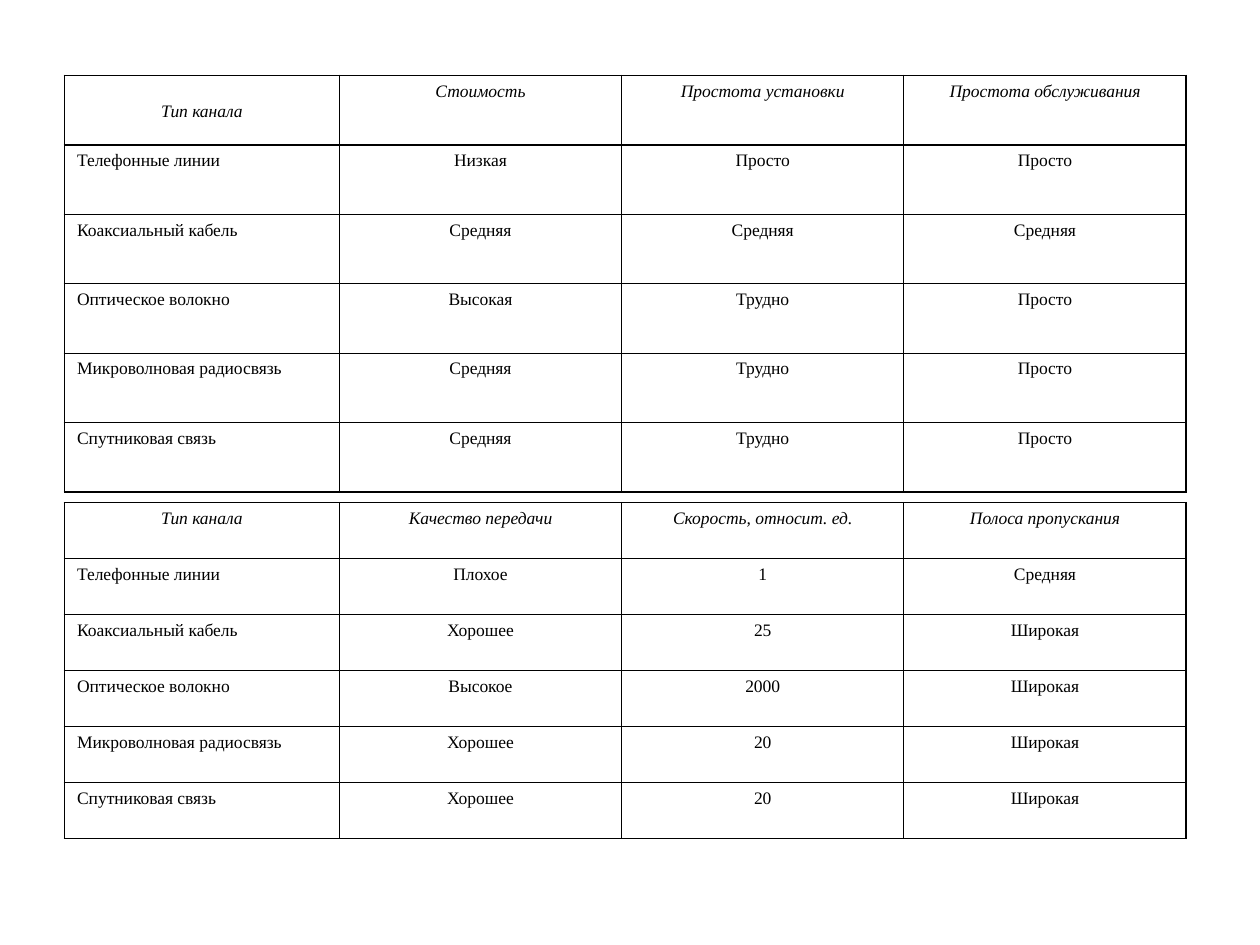
"""Build a slide with two tables comparing communication channels."""
import dataclasses

import pptx
import pptx.dml.color
import pptx.enum.text
import pptx.oxml
import pptx.oxml.ns
import pptx.util

Cm = pptx.util.Cm
Pt = pptx.util.Pt
ALIGN = pptx.enum.text.PP_ALIGN


@dataclasses.dataclass(frozen=True)
class Theme:
    """Colours, type and line widths of the slide."""
    ink: str = "000000"
    font: str = "Times New Roman"
    size: float = 10
    thick: float = 0.96
    thin: float = 0.45


THEME = Theme()
LEFT = 1.3
COLUMN_WIDTHS = (5.54, 5.69, 5.69, 5.69)
CHANNELS = (
    "Телефонные линии",
    "Коаксиальный кабель",
    "Оптическое волокно",
    "Микроволновая радиосвязь",
    "Спутниковая связь",
)
COST_HEADER = ("Тип канала", "Стоимость", "Простота установки", "Простота обслуживания")
COST_VALUES = (
    ("Низкая", "Просто", "Просто"),
    ("Средняя", "Средняя", "Средняя"),
    ("Высокая", "Трудно", "Просто"),
    ("Средняя", "Трудно", "Просто"),
    ("Средняя", "Трудно", "Просто"),
)
QUALITY_HEADER = ("Тип канала", "Качество передачи", "Скорость, относит. ед.", "Полоса пропускания")
QUALITY_VALUES = (
    ("Плохое", "1", "Средняя"),
    ("Хорошее", "25", "Широкая"),
    ("Высокое", "2000", "Широкая"),
    ("Хорошее", "20", "Широкая"),
    ("Хорошее", "20", "Широкая"),
)


def set_borders(cell, widths):
    """Draw the left, right, top and bottom borders of a cell."""
    properties = cell._tc.get_or_add_tcPr()
    for index, (side, width) in enumerate(zip("LRTB", widths)):
        line = pptx.oxml.parse_xml(
            f'<a:ln{side} {pptx.oxml.ns.nsdecls("a")} w="{int(Pt(width))}">'
            f'<a:solidFill><a:srgbClr val="{THEME.ink}"/></a:solidFill></a:ln{side}>'
        )
        properties.insert(index, line)


def border_widths(row, column, last_row, last_column):
    """Return thick widths for the frame and header edges, thin ones elsewhere."""
    edges = (
        column <= 1,
        column in (0, last_column),
        row <= 1,
        row in (0, last_row),
    )
    return [THEME.thick if edge else THEME.thin for edge in edges]


def fill_cell(cell, text, alignment, italic):
    """Write and format the text of a cell."""
    cell.fill.background()
    cell.text_frame.text = text
    paragraph = cell.text_frame.paragraphs[0]
    paragraph.alignment = alignment
    font = paragraph.runs[0].font
    font.name = THEME.font
    font.size = Pt(THEME.size)
    font.italic = italic
    font.color.rgb = pptx.dml.color.RGBColor.from_string(THEME.ink)


def add_channel_table(slide, top, row_height, header, values):
    """Add a table with one row per channel and return it."""
    rows = [header] + [(channel, *row) for channel, row in zip(CHANNELS, values)]
    last_row, last_column = len(rows) - 1, len(header) - 1
    table = slide.shapes.add_table(
        len(rows), len(header), Cm(LEFT), Cm(top),
        Cm(sum(COLUMN_WIDTHS)), Cm(row_height * len(rows)),
    ).table
    table.first_row = False
    table.horz_banding = False
    for column, width in zip(table.columns, COLUMN_WIDTHS):
        column.width = Cm(width)
    for row_index, row in enumerate(rows):
        table.rows[row_index].height = Cm(row_height)
        for column_index, text in enumerate(row):
            cell = table.cell(row_index, column_index)
            is_header = row_index == 0
            is_label = column_index == 0 and not is_header
            fill_cell(cell, text, ALIGN.JUSTIFY if is_label else ALIGN.CENTER, is_header)
            set_borders(cell, border_widths(row_index, column_index, last_row, last_column))
    return table


def main():
    """Create the presentation and save it."""
    presentation = pptx.Presentation()
    presentation.slide_width = Cm(25.4)
    presentation.slide_height = Cm(19.05)
    slide = presentation.slides.add_slide(presentation.slide_layouts[6])
    cost_table = add_channel_table(slide, 1.52, 1.4, COST_HEADER, COST_VALUES)
    cost_table.cell(0, 0).margin_top = Cm(0.53)
    add_channel_table(slide, 10.13, 1.13, QUALITY_HEADER, QUALITY_VALUES)
    presentation.save("out.pptx")


if __name__ == "__main__":
    main()
